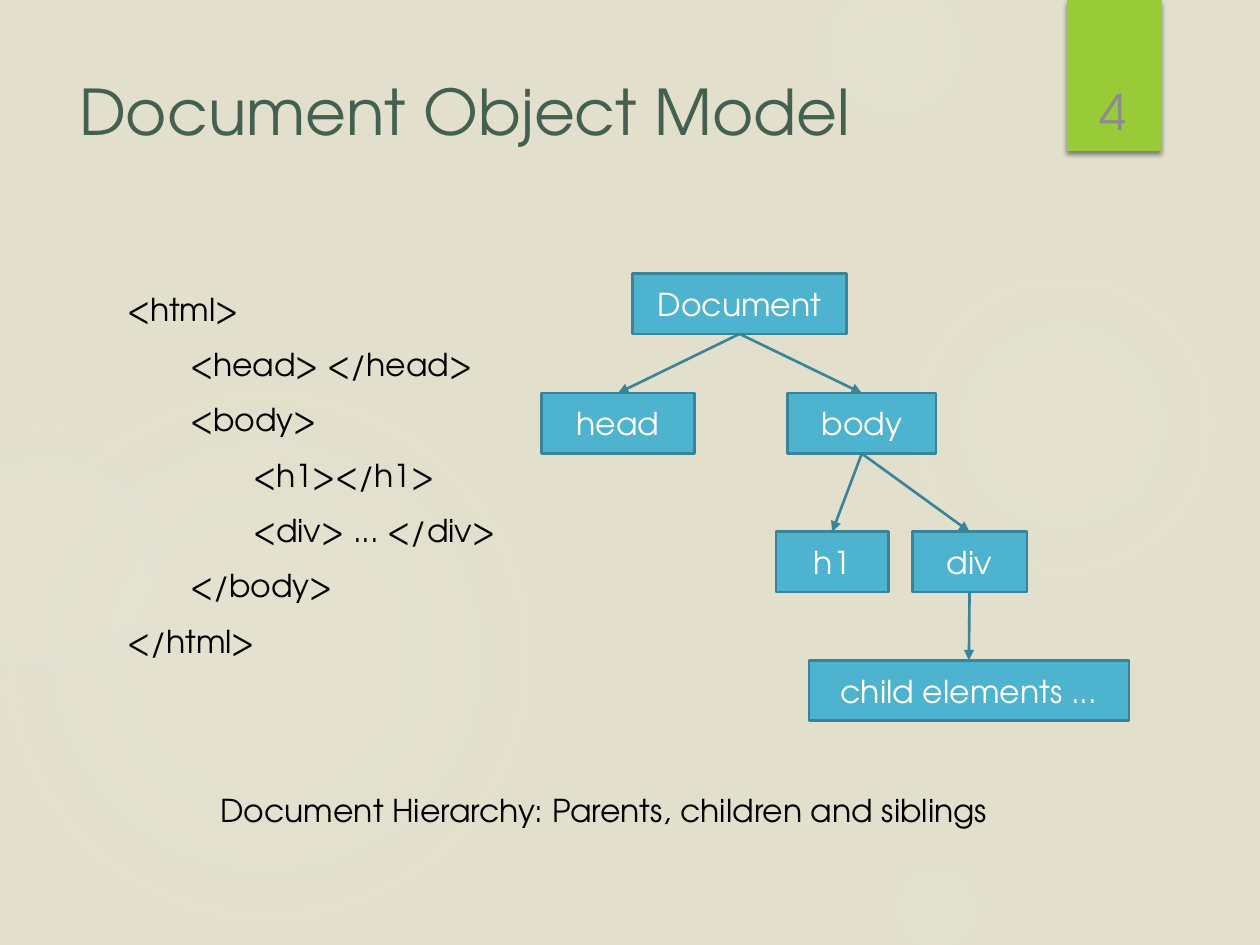
from lxml import etree
from pptx import Presentation
from pptx.dml.color import RGBColor
from pptx.enum.shapes import MSO_CONNECTOR, MSO_SHAPE
from pptx.enum.text import MSO_ANCHOR, MSO_AUTO_SIZE, PP_ALIGN
from pptx.oxml import parse_xml
from pptx.oxml.ns import nsdecls, qn
from pptx.util import Inches, Pt

FONT = "TeX Gyre Adventor"
COLORS = {
    "background": "E2DFCC",
    "glow": "F3F2EB",
    "tab": "99CB38",
    "title": "455F51",
    "number": "8C8C8C",
    "node": "4EB3CF",
    "edge": "3A8499",
    "text": "000000",
    "node_text": "FFFFFF",
}

# left, top, diameter, gradient stops as (position %, opacity %)
GLOWS = [
    (6.89, 1.83, 3.08, [(0, 7), (36, 6), (69, 0)]),
    (6.22, -0.5, 1.75, [(0, 14), (36, 7), (73, 0)]),
    (6.89, 6.67, 1.08, [(0, 14), (36, 7), (66, 0)]),
    (-0.17, 2.92, 4.58, [(0, 11), (36, 10), (75, 0)]),
    (-0.92, 3.17, 2.58, [(0, 8), (36, 8), (72, 0)]),
]

CODE = [
    "<html>",
    "\t<head> </head>",
    "\t<body>",
    "\t\t<h1></h1>",
    "\t\t<div> ... </div>",
    "\t</body>",
    "</html>",
]

# label: left, top, width
NODE_HEIGHT = 0.48
NODES = {
    "Document": (5.02, 2.17, 1.7),
    "head": (4.3, 3.12, 1.21),
    "body": (6.25, 3.12, 1.18),
    "h1": (6.16, 4.22, 0.89),
    "div": (7.24, 4.22, 0.91),
    "child elements ...": (6.42, 5.24, 2.54),
}
EDGES = [
    ("Document", "body"),
    ("Document", "head"),
    ("body", "h1"),
    ("body", "div"),
    ("div", "child elements ..."),
]


def rgb(name):
    return RGBColor.from_string(COLORS[name])


def write(tf, lines, size, color, align=PP_ALIGN.LEFT, gap=0, **frame):
    """Fill a text frame with one paragraph per line, gap points apart."""
    for name, value in frame.items():
        setattr(tf, name, value)
    for i, line in enumerate(lines):
        p = tf.paragraphs[0] if i == 0 else tf.add_paragraph()
        p.alignment = align
        if i and gap:
            p.space_before = Pt(gap)
        if line.startswith("\t"):
            add_tab_stops(p)
        r = p.add_run()
        r.text = line
        font = {"name": FONT, "size": Pt(size)}
        for name, value in font.items():
            setattr(r.font, name, value)
        r.font.color.rgb = rgb(color)


def add_tab_stops(p, step=0.5, count=2):
    tabs = etree.SubElement(p._p.get_or_add_pPr(), qn("a:tabLst"))
    for i in range(1, count + 1):
        etree.SubElement(tabs, qn("a:tab"), pos=str(Inches(step * i)), algn="l")


def add_text(s, box, lines, size, color, **options):
    sp = s.shapes.add_textbox(*map(Inches, box))
    write(sp.text_frame, lines, size, color, **{"word_wrap": True, **options})


def add_plain_shape(s, kind, box):
    sp = s.shapes.add_shape(kind, *map(Inches, box))
    sp.shadow.inherit = False
    sp.line.fill.background()
    return sp


def add_glow(s, left, top, size, stops):
    """Add a circle that fades out from its centre."""
    sp = add_plain_shape(s, MSO_SHAPE.OVAL, (left, top, size, size))
    stop_xml = "".join(
        f'<a:gs pos="{pos * 1000}"><a:srgbClr val="{COLORS["glow"]}">'
        f'<a:alpha val="{alpha * 1000}"/></a:srgbClr></a:gs>'
        for pos, alpha in stops
    )
    fill = parse_xml(
        f'<a:gradFill {nsdecls("a")} rotWithShape="1"><a:gsLst>{stop_xml}</a:gsLst>'
        '<a:path path="circle"><a:fillToRect l="50000" t="50000" r="50000" b="50000"/>'
        "</a:path></a:gradFill>"
    )
    sp._element.spPr.find(qn("a:prstGeom")).addnext(fill)


def add_number_tab(s, number):
    sp = add_plain_shape(s, MSO_SHAPE.RECTANGLE, (8.47, 0, 0.75, 1.2))
    sp.fill.solid()
    sp.fill.fore_color.rgb = rgb("tab")
    shadow = parse_xml(
        f'<a:outerShdw {nsdecls("a")} blurRad="{Pt(3)}" dist="{Pt(2)}" dir="5400000" '
        'rotWithShape="0"><a:srgbClr val="000000"><a:alpha val="45000"/></a:srgbClr>'
        "</a:outerShdw>"
    )
    sp._element.spPr.find(qn("a:effectLst")).append(shadow)
    add_text(s, (8.49, 0.32, 0.69, 0.84), [number], 28, "number",
             align=PP_ALIGN.CENTER, vertical_anchor=MSO_ANCHOR.BOTTOM)


def add_node(s, label, left, top, width):
    sp = add_plain_shape(s, MSO_SHAPE.RECTANGLE, (left, top, width, NODE_HEIGHT))
    sp.fill.solid()
    sp.fill.fore_color.rgb = rgb("node")
    sp.line.color.rgb = rgb("edge")
    sp.line.width = Pt(1.5)
    write(sp.text_frame, [label], 18, "node_text", align=PP_ALIGN.CENTER,
          word_wrap=True, vertical_anchor=MSO_ANCHOR.MIDDLE)
    return sp


def add_arrow(s, parent, child):
    """Join the bottom of the parent to the top of the child."""
    line = s.shapes.add_connector(MSO_CONNECTOR.STRAIGHT, 0, 0, 0, 0)
    line.begin_connect(parent, 2)
    line.end_connect(child, 0)
    line.line.color.rgb = rgb("edge")
    line.line.width = Pt(1.5)
    etree.SubElement(line.line._get_or_add_ln(), qn("a:tailEnd"), type="triangle")
    etree.SubElement(line._element.spPr, qn("a:effectLst"))


def main():
    prs = Presentation()
    prs.slide_width, prs.slide_height = Inches(10), Inches(7.5)
    s = prs.slides.add_slide(prs.slide_layouts[6])
    s.background.fill.solid()
    s.background.fill.fore_color.rgb = rgb("background")

    for glow in GLOWS:
        add_glow(s, *glow)
    add_text(s, (0.53, 0.5, 7.72, 0.75), ["Document Object Model"], 36, "title",
             vertical_anchor=MSO_ANCHOR.MIDDLE)
    add_text(s, (0.91, 2.25, 3.61, 4.59), CODE, 18, "text", gap=10)
    add_number_tab(s, "4")

    nodes = {label: add_node(s, label, *place) for label, place in NODES.items()}
    for parent, child in EDGES:
        add_arrow(s, nodes[parent], nodes[child])
    add_text(s, (1.65, 6.23, 6.4, 0.4),
             ["Document Hierarchy: Parents, children and siblings"], 18, "text",
             word_wrap=False, auto_size=MSO_AUTO_SIZE.SHAPE_TO_FIT_TEXT)
    prs.save("out.pptx")


if __name__ == "__main__":
    main()
